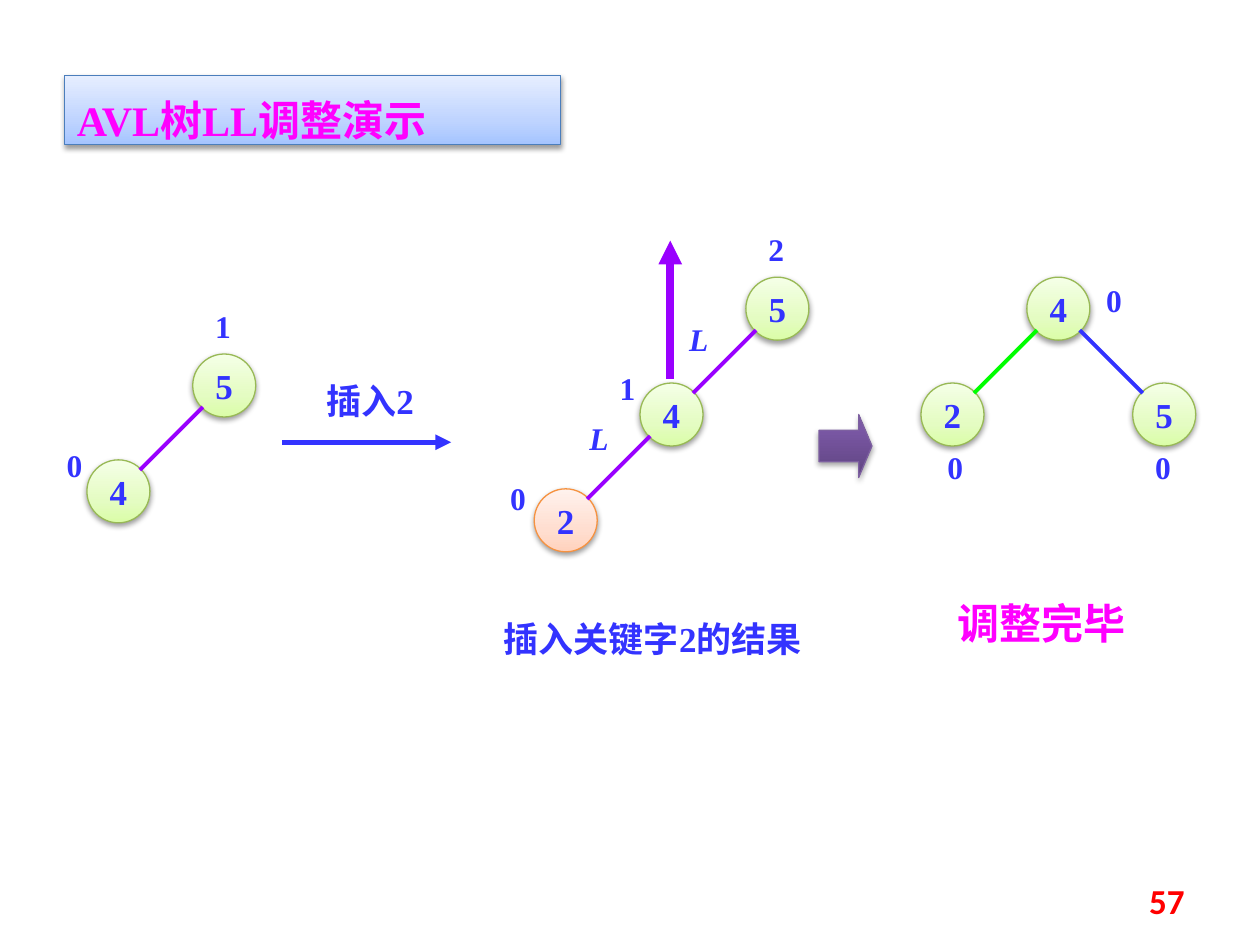
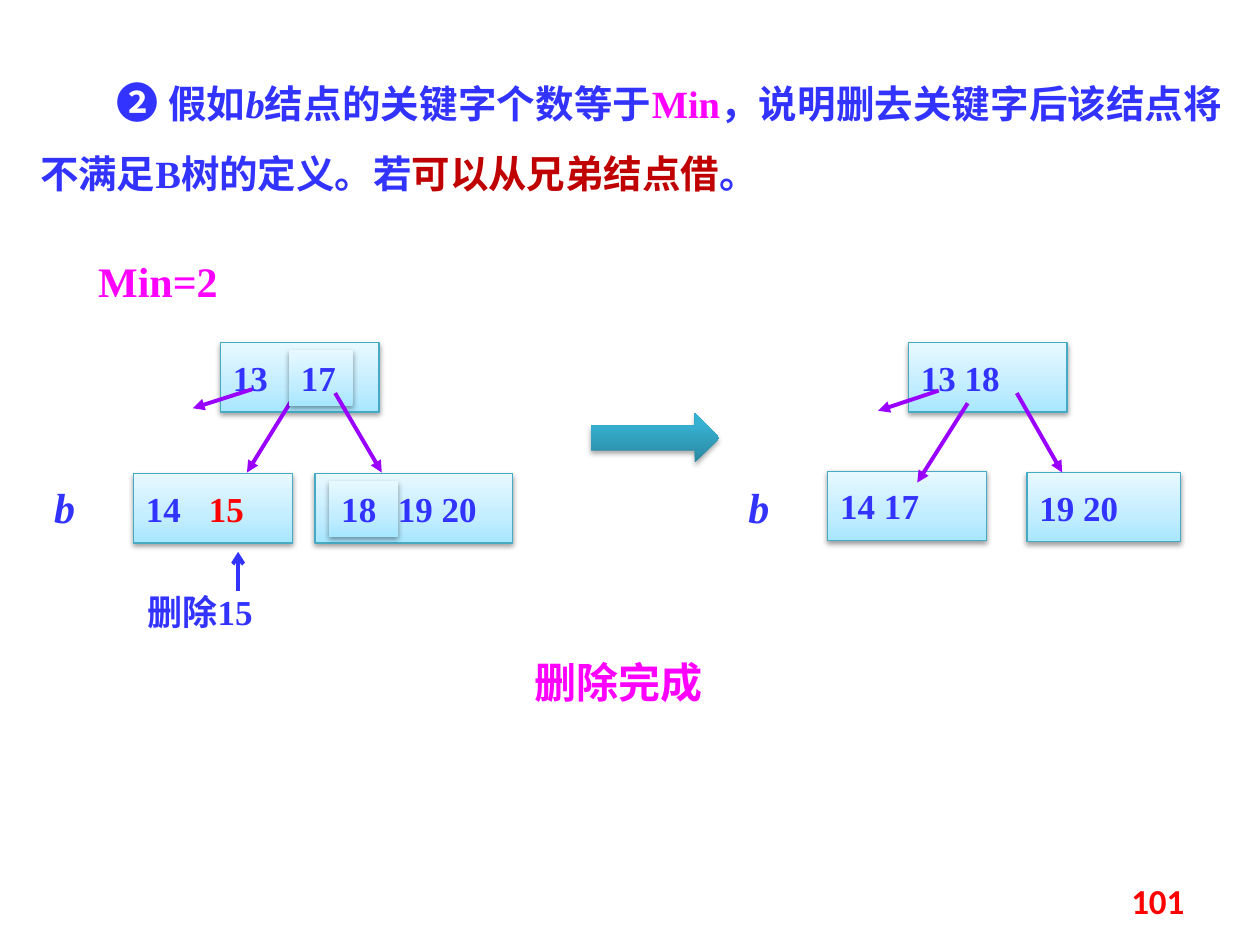
import copy

import pptx
import pptx.dml.color
import pptx.enum.shapes
import pptx.enum.text
import pptx.oxml.ns
import pptx.util
from lxml import etree

Inches = pptx.util.Inches
Pt = pptx.util.Pt
KIND = pptx.enum.shapes.MSO_SHAPE
ALIGN = pptx.enum.text.PP_ALIGN
ANCHOR = pptx.enum.text.MSO_ANCHOR
qn = pptx.oxml.ns.qn

COLORS = {
    "ink": "3333FF", "pink": "FF00FF", "red": "FF0000", "wine": "C00000",
    "violet": "9900FF", "lime": "00FF00", "black": "000000",
}
SKINS = {
    "title": ("A4C4FF", "BFD4FF", "E6EEFF", "4B7EBC"),
    "green": ("DAFDA7", "E4FCC2", "F5FFE7", "98B955"),
    "peach": ("FFD2BD", "FFDED0", "FFF2ED", "F69240"),
    "aqua": ("A7E6FF", "C1EDFF", "E7F8FF", "46AAC5"),
    "purple": ("5F4480", "7B58A6", "7C57A8", "7D60A0"),
    "teal": ("2A88A2", "37B1D2", "34B4D6", None),
}
LATIN = "Times New Roman"
HAN = "Noto Sans CJK SC"
NODE = 0.5
STEP = 0.84
NEAR, FAR = 0.08, 0.42


def tint(name):
    return pptx.dml.color.RGBColor.from_string(COLORS.get(name, name))


def write(shape, *runs, size=20, color="ink", bold=True, italic=False, font=LATIN,
          align=ALIGN.LEFT, anchor=ANCHOR.TOP, inset=(0.1, 0.05), spacing=None,
          first=0, left=0, tab=None):
    frame = shape.text_frame
    frame.word_wrap = True
    frame.vertical_anchor = anchor
    frame.margin_left = frame.margin_right = Inches(inset[0])
    frame.margin_top = frame.margin_bottom = Inches(inset[1])
    para = frame.paragraphs[0]
    para.alignment = align
    if spacing:
        para.line_spacing = spacing
    props = para._p.get_or_add_pPr()
    props.set("marL", str(Inches(left)))
    props.set("indent", str(Inches(first)))
    if tab:
        stops = etree.SubElement(props, qn("a:tabLst"))
        etree.SubElement(stops, qn("a:tab"), pos=str(Inches(tab)), algn="l")
    base = dict(size=size, color=color, italic=italic)
    for part in runs:
        words, change = (part, {}) if isinstance(part, str) else part
        look = {**base, **change}
        run = para.add_run()
        run.text = words
        run.font.size = Pt(look["size"])
        run.font.bold = bold
        run.font.italic = look["italic"]
        run.font.color.rgb = tint(look["color"])
        run.font.name = font
        etree.SubElement(run._r.get_or_add_rPr(), qn("a:ea"), typeface=HAN)


def label(slide, x, y, wide, high, *runs, **style):
    box = slide.shapes.add_textbox(Inches(x), Inches(y), Inches(wide), Inches(high))
    write(box, *runs, **style)


def paint(shape, skin, line=True, mid=0.35, depth=20000, alpha=38000):
    *shades, edge = SKINS[skin]
    shape.fill.gradient()
    shape.fill.gradient_angle = 90
    stops = shape._element.spPr.find(".//" + qn("a:gsLst"))
    stops.append(copy.deepcopy(stops[0]))
    for stop, spot, shade in zip(shape.fill.gradient_stops, (0, mid, 1), shades):
        stop.position = spot
        stop.color.rgb = tint(shade)
    if line and edge:
        shape.line.color.rgb = tint(edge)
        shape.line.width = Pt(0.75)
    else:
        shape.line.fill.background()
    shape.shadow.inherit = False
    effects = shape._element.spPr.find(qn("a:effectLst"))
    shadow = etree.SubElement(effects, qn("a:outerShdw"), blurRad="40000",
                              dist=str(depth), dir="5400000", rotWithShape="0")
    color = etree.SubElement(shadow, qn("a:srgbClr"), val=COLORS["black"])
    etree.SubElement(color, qn("a:alpha"), val=str(alpha))


def block(slide, kind, x, y, wide, high, skin, **look):
    shape = slide.shapes.add_shape(kind, Inches(x), Inches(y), Inches(wide), Inches(high))
    paint(shape, skin, **look)
    return shape


def line(slide, start, end, color="violet", width=2.25, head=None):
    link = slide.shapes.add_connector(
        pptx.enum.shapes.MSO_CONNECTOR.STRAIGHT, *map(Inches, start + end))
    link.line.color.rgb = tint(color)
    link.line.width = Pt(width)
    if head:
        etree.SubElement(link.line._get_or_add_ln(), qn("a:tailEnd"), type=head)
    etree.SubElement(link._element.spPr, qn("a:effectLst"))


def arrow(slide, x, y, wide, high, skin):
    return block(slide, KIND.RIGHT_ARROW, x, y, wide, high, skin,
                 mid=0.8, depth=23000, alpha=35000)


def tree(slide, x, y, nodes, edges, tags):
    def place(col, row):
        return x + col * STEP, y + row * STEP

    for key, col, row, skin in nodes:
        ball = block(slide, KIND.OVAL, *place(col, row), NODE, NODE, skin)
        write(ball, key, align=ALIGN.CENTER, anchor=ANCHOR.MIDDLE, inset=(0, 0))
    for col, row, side, color in edges:
        top, low = place(col, row), place(col + side, row + 1)
        out, into = (FAR, NEAR) if side > 0 else (NEAR, FAR)
        line(slide, (top[0] + out, top[1] + FAR), (low[0] + into, low[1] + NEAR), color)
    for tag, left, top in tags:
        label(slide, left, top, 0.31, 0.4, tag, size=18, italic=tag == "L")


def cell(slide, x, y, wide, *runs, **style):
    box = block(slide, KIND.RECTANGLE, x, y, wide, 0.55, "aqua")
    write(box, *runs, anchor=ANCHOR.MIDDLE, **style)


def patch(slide, x, y, wide, key):
    write(block(slide, KIND.RECTANGLE, x, y, wide, 0.44, "aqua", line=False), key)


def folio(slide, number):
    label(slide, 7.17, 6.95, 2.33, 0.4, number, color="red", font="Calibri",
          align=ALIGN.RIGHT, anchor=ANCHOR.MIDDLE)


def rotate(deck):
    slide = deck.slides.add_slide(deck.slide_layouts[5])
    title = slide.shapes.title
    title.left, title.top, title.width, title.height = map(Inches, (0.51, 0.6, 3.94, 0.55))
    paint(title, "title")
    write(title, "AVL树LL调整演示", size=24, color="pink", spacing=1.25)

    tree(slide, 1.53, 2.81,
         [("5", 0, 0, "green"), ("4", -1, 1, "green")],
         [(0, 0, -1, "violet")],
         [("0", 0.43, 3.49), ("1", 1.61, 2.39)])
    label(slide, 2.49, 2.96, 1.1, 0.43, "插入2")
    line(slide, (2.24, 3.51), (3.58, 3.51), "ink", 3, "triangle")

    tree(slide, 5.92, 2.2,
         [("5", 0, 0, "green"), ("4", -1, 1, "green"), ("2", -2, 2, "peach")],
         [(0, 0, -1, "violet"), (-1, 1, -1, "violet")],
         [("L", 5.37, 2.49), ("L", 4.58, 3.28), ("0", 3.95, 3.75),
          ("1", 4.82, 2.88), ("2", 6, 1.78)])
    line(slide, (5.32, 3.01), (5.32, 1.91), "violet", 4.5, "triangle")
    label(slide, 3.9, 4.85, 2.76, 0.43, "插入关键字2的结果")
    arrow(slide, 6.5, 3.29, 0.42, 0.5, "purple").adjustments[1] = 0.25

    tree(slide, 8.15, 2.2,
         [("4", 0, 0, "green"), ("2", -1, 1, "green"), ("5", 1, 1, "green")],
         [(0, 0, -1, "lime"), (0, 0, 1, "ink")],
         [("0", 7.42, 3.51), ("0", 9.07, 3.51), ("0", 8.68, 2.18)])
    label(slide, 7.5, 4.69, 1.89, 0.5, "调整完毕", size=24, color="pink")
    folio(slide, "57")


def borrow(deck):
    slide = deck.slides.add_slide(deck.slide_layouts[6])
    label(slide, 0.22, 0.36, 9.58, 1.36,
          ("❷", {"size": 24}), " 假如", ("b", {"italic": True}), "结点的关键字个数等于",
          ("Min", {"color": "pink"}), "，说明删去关键字后该结点将不满足B树的定义。若",
          ("可以从兄弟结点借", {"color": "wine"}), "。",
          size=22, align=ALIGN.JUSTIFY, spacing=1.5, first=0.61)
    label(slide, 0.78, 2.03, 1.26, 0.4, "Min=2", size=24, color="pink", inset=(0, 0))
    for x in (0.43, 5.94):
        label(slide, x, 3.82, 0.71, 0.4, "b", size=24, italic=True, inset=(0, 0))

    cell(slide, 1.75, 2.72, 1.26, "13")
    cell(slide, 1.06, 3.76, 1.26, "14\t", ("15", {"color": "red"}), tab=0.48)
    cell(slide, 2.5, 3.76, 1.57, "19 20", left=0.56)
    line(slide, (2.35, 3.12), (1.96, 3.75), head="triangle")
    line(slide, (2, 3.09), (1.53, 3.24), head="triangle")
    patch(slide, 2.29, 2.78, 0.51, "17")
    patch(slide, 2.61, 3.82, 0.55, "18")
    line(slide, (2.66, 3.12), (3.03, 3.75), head="triangle")
    line(slide, (1.89, 4.69), (1.89, 4.38), "ink", head="arrow")
    label(slide, 1.17, 4.69, 1.34, 0.33, "删除15", inset=(0, 0))

    arrow(slide, 4.69, 3.28, 1.02, 0.39, "teal")
    cell(slide, 7.21, 2.72, 1.26, "13 18")
    cell(slide, 6.57, 3.74, 1.26, "14 17")
    cell(slide, 8.15, 3.75, 1.22, "19 20")
    for start, end in (((7.68, 3.2), (7.28, 3.83)), ((8.07, 3.12), (8.43, 3.75)),
                       ((7.45, 3.1), (6.97, 3.26))):
        line(slide, start, end, head="triangle")
    label(slide, 4.14, 5.16, 2.19, 0.5, "删除完成", size=24, color="pink", font=HAN)
    folio(slide, "101")


def main():
    deck = pptx.Presentation()
    deck.slide_width, deck.slide_height = Inches(10), Inches(7.5)
    rotate(deck)
    borrow(deck)
    deck.save("out.pptx")


if __name__ == "__main__":
    main()
